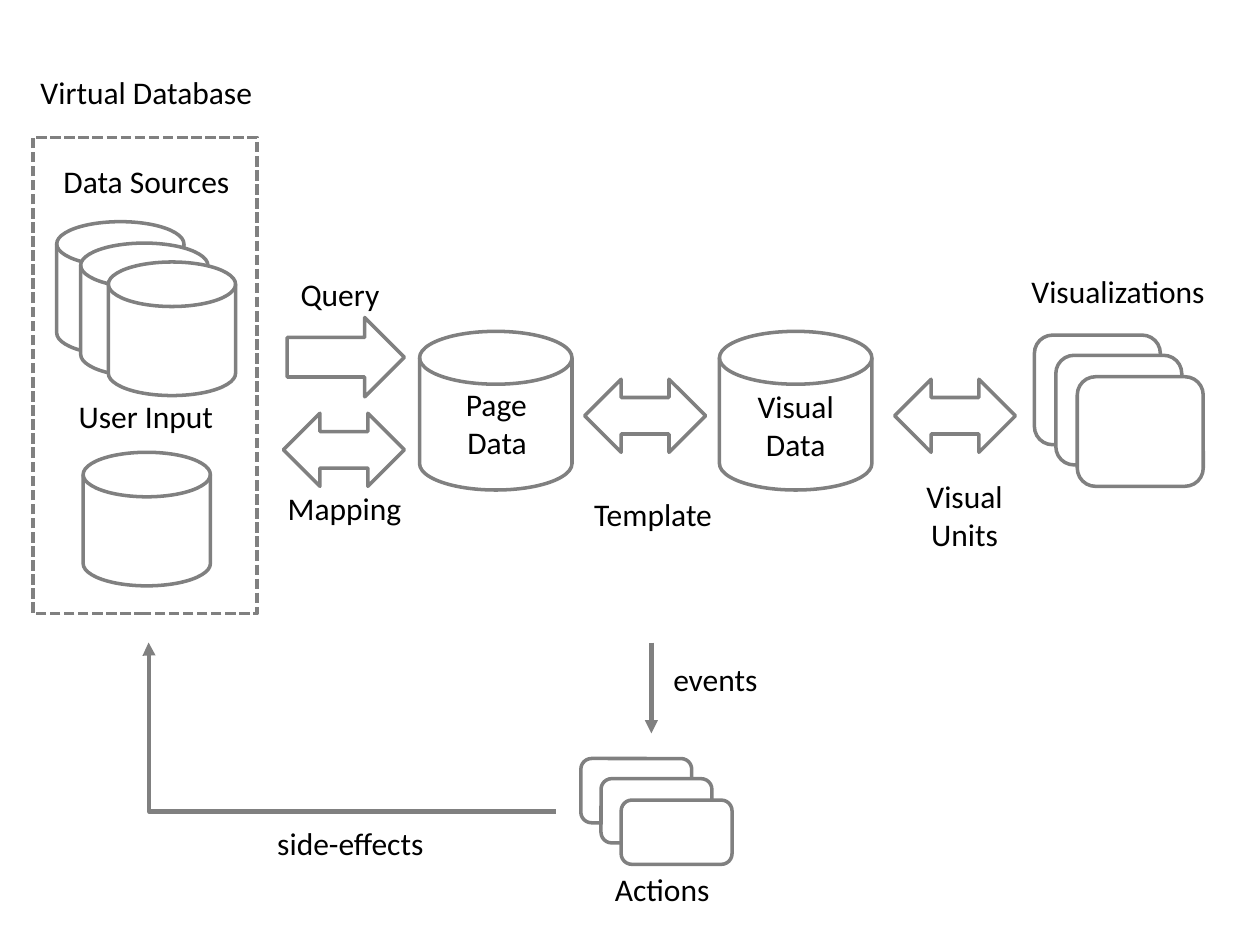
from pptx import Presentation
from pptx.dml.color import RGBColor
from pptx.enum.dml import MSO_LINE
from pptx.enum.shapes import MSO_CONNECTOR, MSO_SHAPE
from pptx.enum.text import MSO_AUTO_SIZE, PP_ALIGN
from pptx.oxml.ns import qn
from pptx.util import Inches, Pt
from lxml import etree

GRAY = RGBColor(0x80, 0x80, 0x80)
WHITE = RGBColor(0xFF, 0xFF, 0xFF)
BLACK = RGBColor(0, 0, 0)
FONT = "Calibri"
DISK = MSO_SHAPE.FLOWCHART_MAGNETIC_DISK
CARD = MSO_SHAPE.ROUNDED_RECTANGLE
FRAME = MSO_SHAPE.RECTANGLE
RIGHT_ARROW = MSO_SHAPE.RIGHT_ARROW
BOTH_ARROW = MSO_SHAPE.LEFT_RIGHT_ARROW
STRAIGHT, ELBOW = MSO_CONNECTOR.STRAIGHT, MSO_CONNECTOR.ELBOW
DASH = MSO_LINE.SQUARE_DOT
RIGHT, CENTER = PP_ALIGN.RIGHT, PP_ALIGN.CENTER
NO_RESIZE = MSO_AUTO_SIZE.NONE


def add_outline(s, kind, x, y, w, h, filled=True):
    sp = s.shapes.add_shape(kind, Inches(x), Inches(y), Inches(w), Inches(h))
    sp.shadow.inherit = False
    if filled:
        sp.fill.solid()
        sp.fill.fore_color.rgb = WHITE
    else:
        sp.fill.background()
    sp.line.color.rgb = GRAY
    sp.line.width = Pt(2)
    return sp


def add_label(s, lines, x, y, w, align=RIGHT):
    h = 0.4 if len(lines) == 1 else 0.71
    tf = s.shapes.add_textbox(Inches(x), Inches(y), Inches(w), Inches(h)).text_frame
    tf.word_wrap = False
    tf.auto_size = NO_RESIZE
    for i, line in enumerate(lines):
        p = tf.paragraphs[0] if i == 0 else tf.add_paragraph()
        p.alignment = align
        r = p.add_run()
        r.text = line
        r.font.name = FONT
        r.font.size = Pt(18)
        r.font.color.rgb = BLACK


def add_stack(s, kind, x, y, w, h, offsets):
    for dx, dy in offsets:
        add_outline(s, kind, x + dx, y + dy, w, h)


def add_arrow_line(s, kind, x1, y1, x2, y2):
    """Add a gray connector whose arrowhead is at (x2, y2)."""
    c = s.shapes.add_connector(kind, Inches(x1), Inches(y1), Inches(x2), Inches(y2))
    c.line.color.rgb = GRAY
    c.line.width = Pt(2.5)
    ln = c.line._get_or_add_ln()
    etree.SubElement(ln, qn("a:tailEnd"), type="triangle")
    etree.SubElement(c._element.spPr, qn("a:effectLst"))
    return c


def virtual_database(s, x, y):
    frame = add_outline(s, FRAME, x, y, 1.78, 3.78, filled=False)
    frame.line.dash_style = DASH
    add_label(s, ["Virtual Database"], x - 0.06, y - 0.56, 1.9)
    add_label(s, ["Data Sources"], x + 0.12, y + 0.15, 1.54)
    add_stack(s, DISK, x + 0.19, y + 0.67, 1.01, 1.06,
              [(0, 0), (0.19, 0.17), (0.41, 0.32)])
    add_label(s, ["User Input"], x + 0.25, y + 2.01, 1.28)
    add_outline(s, DISK, x + 0.4, y + 2.5, 1.01, 1.06)


def query_and_mapping(s, x, y):
    add_label(s, ["Query"], x + 0.03, y, 0.83)
    add_outline(s, RIGHT_ARROW, x + 0.03, y + 0.39, 0.93, 0.63)
    add_outline(s, BOTH_ARROW, x, y + 1.15, 0.96, 0.58)
    add_label(s, ["Mapping"], x - 0.07, y + 1.7, 1.11, CENTER)


def data_pipeline(s, x, y):
    """Add the page and visual data stores with the arrows after each."""
    add_outline(s, DISK, x, y, 1.21, 1.26, filled=False)
    add_label(s, ["Page", "Data"], x + 0.25, y + 0.38, 0.7)
    add_outline(s, BOTH_ARROW, x + 1.31, y + 0.38, 0.96, 0.58)
    add_label(s, ["Template"], x + 1.25, y + 1.25, 1.17)
    add_outline(s, DISK, x + 2.38, y, 1.21, 1.26)
    add_label(s, ["Visual", "Data"], x + 2.58, y + 0.39, 0.81, CENTER)
    add_outline(s, BOTH_ARROW, x + 3.77, y + 0.38, 0.96, 0.58)
    add_label(s, ["Visual", "Units"], x + 3.92, y + 1.11, 0.81, CENTER)


def visualizations(s, x, y):
    add_label(s, ["Visualizations"], x, y, 1.6)
    add_stack(s, CARD, x + 0.15, y + 0.55, 1, 0.87,
              [(0, 0), (0.17, 0.16), (0.34, 0.33)])


def actions(s, x, y):
    add_stack(s, CARD, x, y, 0.88, 0.51, [(0, 0), (0.16, 0.16), (0.32, 0.33)])
    add_label(s, ["Actions"], x + 0.16, y + 0.84, 0.96)


def feedback_loop(s, x, y):
    """Add the events arrow and the side-effects arrow back to the database."""
    add_arrow_line(s, STRAIGHT, x + 3.99, y, x + 3.99, y + 0.72)
    add_label(s, ["events"], x + 4.04, y + 0.09, 0.89)
    c = add_arrow_line(s, ELBOW, x + 3.23, y + 1.34, x, y)
    geometry = c._element.spPr.find(qn("a:prstGeom"))
    guides = geometry.find(qn("a:avLst"))
    if guides is None:
        guides = etree.SubElement(geometry, qn("a:avLst"))
    etree.SubElement(guides, qn("a:gd"), name="adj1", fmla="val 99900")
    add_label(s, ["side-effects"], x + 0.9, y + 1.39, 1.38)


def main():
    prs = Presentation()
    prs.slide_width, prs.slide_height = Inches(10), Inches(7.5)
    s = prs.slides.add_slide(prs.slide_layouts[6])
    virtual_database(s, 0.26, 1.09)
    query_and_mapping(s, 2.25, 2.13)
    data_pipeline(s, 3.33, 2.63)
    visualizations(s, 8.06, 2.11)
    actions(s, 4.61, 6.02)
    feedback_loop(s, 1.18, 5.1)
    prs.save("out.pptx")


if __name__ == "__main__":
    main()
